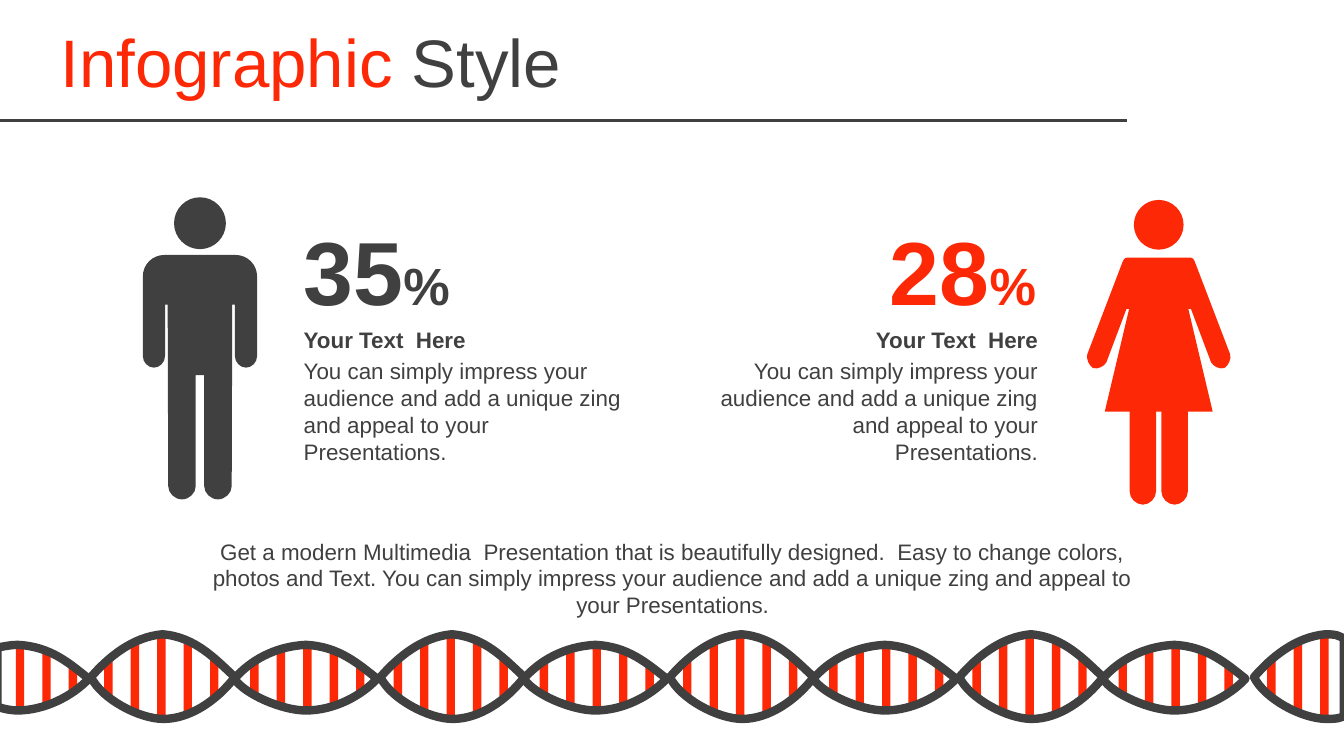
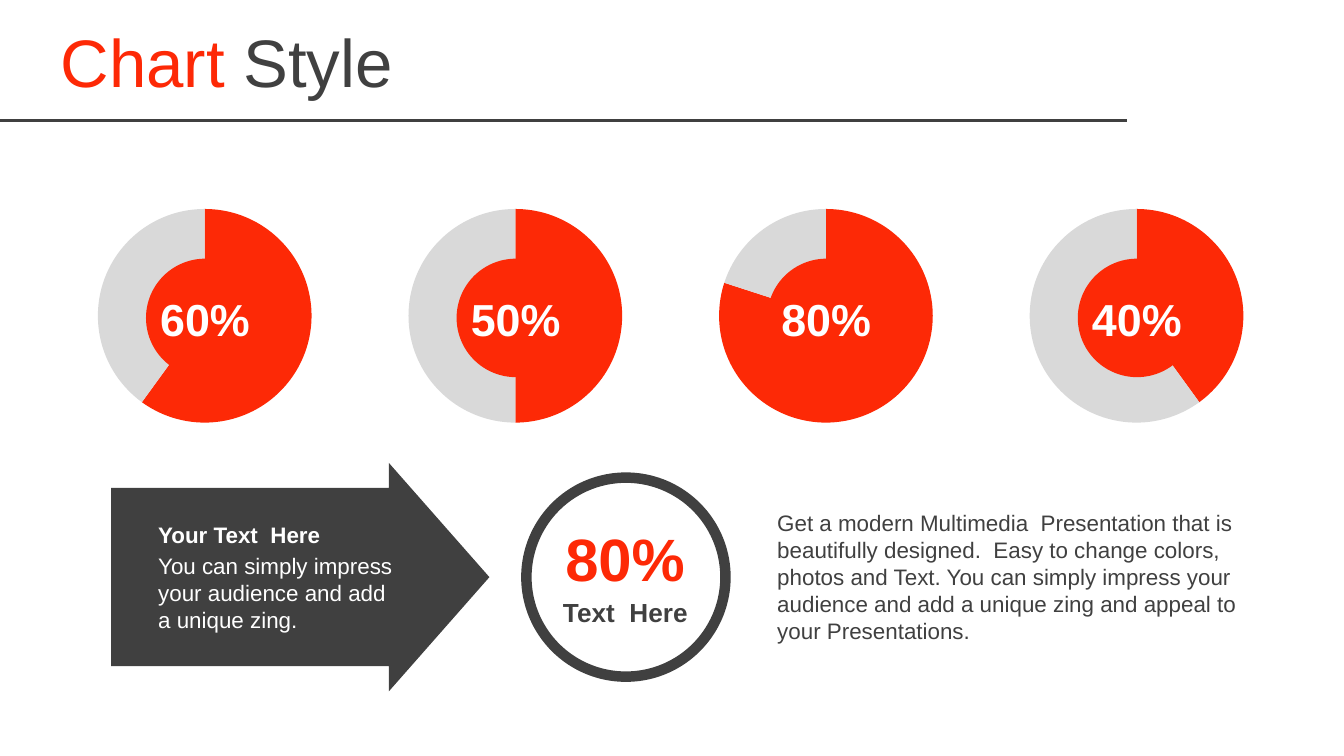
from dataclasses import dataclass
from typing import NamedTuple, Optional

from lxml import etree
from pptx import Presentation
from pptx.chart.data import CategoryChartData
from pptx.dml.color import RGBColor
from pptx.enum.chart import XL_CHART_TYPE as ChartType
from pptx.enum.shapes import MSO_CONNECTOR as Connector, MSO_SHAPE as Shape
from pptx.enum.text import MSO_ANCHOR as Anchor, MSO_AUTO_SIZE as AutoSize, PP_ALIGN as Align
from pptx.oxml import parse_xml
from pptx.oxml.ns import nsdecls, qn
from pptx.util import Cm, Pt

RED, DARK, GREY, WHITE = "FD2906", "404040", "D9D9D9", "FFFFFF"
FONT = "Arial"
HEADING = "Your Text  Here"
PITCH = "You can simply impress your audience and add a unique zing"
SUMMARY = ("Get a modern Multimedia  Presentation that is beautifully designed.  "
           "Easy to change colors, photos and Text. "
           f"{PITCH} and appeal to your Presentations.")

Point = tuple[float, float]
# Outline steps: two numbers are a straight line, six a cubic curve.
Steps = list[tuple]


class Box(NamedTuple):
    """Left, top, width and height in centimetres."""
    x: float
    y: float
    w: float
    h: float

    def emu(self) -> list[int]:
        return [Cm(v) for v in self]


class Run(NamedTuple):
    text: str
    size: Optional[float] = None
    color: Optional[str] = None


@dataclass
class Label:
    box: Box
    runs: list[Run]
    size: float = 12
    color: str = DARK
    bold: bool = False
    align: Align = Align.LEFT
    anchor: Anchor = Anchor.TOP
    wrap: bool = True


@dataclass
class Figure:
    """A person: the right half of the body, mirrored about the centre, and a head."""
    center: float
    top: float
    color: str
    head_radius: float
    half_body: Steps


@dataclass
class Lens:
    """One loop of the strand; each rung is (top, height) within the loop."""
    top: float
    first_rung: float
    rungs: list[Point]
    outline: Steps


MAN = Figure(3.78, 3.73, DARK, 0.49, [
    (0, 1.09), (0.67, 1.09), (0.9, 1.09, 1.08, 1.27, 1.08, 1.5), (1.08, 3),
    (1.08, 3.12, 0.98, 3.22, 0.87, 3.22), (0.76, 3.22, 0.66, 3.12, 0.66, 3),
    (0.66, 2.03), (0.61, 2.03), (0.6, 5.46),
    (0.6, 5.59, 0.48, 5.71, 0.34, 5.71), (0.2, 5.71, 0.08, 5.59, 0.08, 5.46),
    (0.08, 3.36), (0, 3.36)])
WOMAN = Figure(21.9, 3.78, RED, 0.47, [
    (0, 1.09), (0.46, 1.09), (0.64, 1.09, 0.64, 1.07, 0.69, 1.19), (1.35, 2.92),
    (1.37, 3.02, 1.32, 3.12, 1.24, 3.18), (1.14, 3.2, 1.04, 3.15, 0.99, 3.07),
    (0.61, 2.06), (0.56, 2.06), (1.02, 4), (0.55, 4), (0.55, 5.51),
    (0.55, 5.64, 0.43, 5.76, 0.3, 5.76), (0.17, 5.76, 0.05, 5.64, 0.05, 5.51),
    (0.05, 4), (0, 4)])

WIDE_RUNGS = [(0.48, 0.71), (0.13, 1.3), (0, 1.55), (0.13, 1.4), (0.46, 0.71)]
NARROW_RUNGS = [(0.33, 0.61), (0.1, 1.04), (0, 1.24), (0.1, 1.04), (0.38, 0.51)]
WIDE_START = [(0, 0.81), (0.33, 0.43, 0.79, 0.05, 1.35, 0)]
WIDE_END = (0.91, 1.6, 0.2, 1.22, 0, 0.81)
WIDE_LENS = Lens(11.99, 0.25, WIDE_RUNGS, [
    *WIDE_START, (1.98, 0.05, 2.36, 0.48, 2.72, 0.81),
    (2.39, 1.24, 1.88, 1.6, 1.37, 1.6), WIDE_END])
RIGHT_LENS = Lens(11.99, 0.25, WIDE_RUNGS[:3], [
    *WIDE_START, (1.57, 0, 1.6, 0.03, 1.7, 0.08), (1.7, 1.55),
    (1.63, 1.57, 1.63, 1.6, 1.37, 1.6), WIDE_END])
NARROW_LENS = Lens(12.19, 0.3, NARROW_RUNGS, [
    (0, 0.64), (0.3, 0.3, 0.76, 0.03, 1.35, 0), (1.98, 0.03, 2.34, 0.36, 2.7, 0.64),
    (2.39, 0.97, 1.88, 1.24, 1.35, 1.24), (0.91, 1.24, 0.2, 0.94, 0, 0.64)])
LEFT_LENS = Lens(12.19, 0.3, NARROW_RUNGS[2:], [
    (0.33, 0), (0.97, 0.03, 1.32, 0.36, 1.68, 0.64), (1.37, 0.97, 0.84, 1.24, 0.33, 1.24),
    (0.23, 1.24, 0.1, 1.22, -0.05, 1.17), (-0.05, 0.05), (0.08, 0.03, 0.2, 0, 0.33, 0)])
PERIOD = 5.47
RUNG_STEP, RUNG_W = 0.5, 0.16


def rgb(color: str) -> RGBColor:
    return RGBColor.from_string(color)


def paint(s, color: str) -> None:
    s.shadow.inherit = False
    s.fill.solid()
    s.fill.fore_color.rgb = rgb(color)
    s.line.fill.background()


def add_preset(shapes, kind: Shape, box: Box, color: str, adjustments=()) -> None:
    s = shapes.add_shape(kind, *box.emu())
    paint(s, color)
    for i, value in enumerate(adjustments):
        s.adjustments[i] = value


def write_runs(p, runs: list[Run]) -> None:
    for run in runs:
        r = p.add_run()
        r.text = run.text
        if run.size:
            r.font.size = Pt(run.size)
        if run.color:
            r.font.color.rgb = rgb(run.color)


def add_label(shapes, label: Label) -> None:
    tf = shapes.add_textbox(*label.box.emu()).text_frame
    tf.word_wrap = label.wrap
    tf.auto_size = AutoSize.SHAPE_TO_FIT_TEXT
    tf.vertical_anchor = label.anchor
    p = tf.paragraphs[0]
    p.alignment = label.align
    write_runs(p, label.runs)
    p.font.name, p.font.size, p.font.bold = FONT, Pt(label.size), label.bold
    p.font.color.rgb = rgb(label.color)


def add_captioned_text(slide, box: Box, text: str, color: str = DARK,
                       align: Align = Align.LEFT) -> None:
    """Group a bold heading with the text just below it."""
    shapes = slide.shapes.add_group_shape().shapes
    add_label(shapes, Label(box, [Run(text)], color=color, align=align))
    heading = Box(box.x, box.y - 0.59, box.w, 0.76)
    add_label(shapes, Label(heading, [Run(HEADING)], color=color, bold=True, align=align))


def step_points(step: tuple) -> list[Point]:
    return list(zip(step[::2], step[1::2]))


def mirror(half: Steps) -> Steps:
    """Continue a half outline with its reflection, back to the start."""
    points = [(-x, y) for step in half for x, y in step_points(step)][::-1]
    steps, used = list(half), 1
    for step in reversed(half[1:]):
        count = len(step) // 2
        steps.append(sum(points[used:used + count], ()))
        used += count
    return steps


def circle(radius: float) -> Steps:
    """A circle that touches the top of its figure, as four curves."""
    r, k = radius, 0.55 * radius
    quarter = [(0, 0), (k, 0, r, r - k, r, r), (r, r + k, k, 2 * r, 0, 2 * r)]
    return mirror(quarter)


def add_outline(shapes, contours: list[Steps], left: float, top: float):
    """Build a freeform, then join each curve's three points into one curve."""
    builder = None
    for steps in contours:
        points = [(Cm(left + x), Cm(top + y)) for step in steps for x, y in step_points(step)]
        if builder is None:
            builder = shapes.build_freeform(*points[0], scale=1.0)
        else:
            builder.move_to(*points[0])
        builder.add_line_segments(points[1:], close=True)
    s = builder.convert_to_shape()
    lines = s._element.spPr.iter(qn("a:lnTo"))
    line_list = iter(list(lines))
    for step in (step for steps in contours for step in steps[1:]):
        segment = next(line_list)
        if len(step) == 6:
            segment.tag = qn("a:cubicBezTo")
            for _ in range(2):
                extra = next(line_list)
                segment.append(extra[0])
                extra.getparent().remove(extra)
    return s


def add_figure(slide, figure: Figure) -> None:
    contours = [mirror(figure.half_body), circle(figure.head_radius)]
    paint(add_outline(slide.shapes, contours, figure.center, figure.top), figure.color)


def add_lens(shapes, lens: Lens, left: float) -> None:
    for i, (top, height) in enumerate(lens.rungs):
        x = left + lens.first_rung + i * RUNG_STEP
        add_preset(shapes, Shape.RECTANGLE, Box(x, lens.top + top, RUNG_W, height), RED)
    s = add_outline(shapes, [lens.outline], left, lens.top)
    s.shadow.inherit = False
    s.fill.background()
    s.line.color.rgb = rgb(DARK)
    s.line.width = Pt(4.5)


def add_strand(slide) -> None:
    shapes = slide.shapes.add_group_shape().shapes
    for i in range(4):
        add_lens(shapes, WIDE_LENS, 1.72 + i * PERIOD)
        add_lens(shapes, NARROW_LENS, 4.43 + i * PERIOD)
    add_lens(shapes, LEFT_LENS, 0)
    add_lens(shapes, RIGHT_LENS, 23.7)


def add_doughnut(slide, box: Box, percent: int) -> None:
    data = CategoryChartData()
    data.categories = ["1", "2"]
    data.add_series("Series 1", (percent, 100 - percent))
    chart = slide.shapes.add_chart(ChartType.DOUGHNUT, *box.emu(), data).chart
    chart.has_legend = chart.has_title = False
    chart.font.name, chart.font.size = FONT, Pt(18)
    chart.font.color.rgb = rgb("000000")
    plot = chart.plots[0]
    plot.vary_by_categories = True
    for i, color in enumerate((RED, GREY)):
        fmt = plot.series[0].points[i].format
        fmt.fill.solid()
        fmt.fill.fore_color.rgb = rgb(color)
        fmt.line.fill.background()
    area = chart._chartSpace.find(".//" + qn("c:plotArea"))
    area.find(".//" + qn("c:holeSize")).set("val", "75")
    for old in area.findall(qn("c:layout")):
        area.remove(old)
    layout = parse_xml(f"<c:layout {nsdecls('c')}><c:manualLayout/></c:layout>")
    settings = {"layoutTarget": "inner", "xMode": "edge", "yMode": "edge",
                "x": "0", "y": "0", "w": "1", "h": "0.965"}
    for name, value in settings.items():
        etree.SubElement(layout[0], qn(f"c:{name}")).set("val", value)
    area.insert(0, layout)


def add_share(slide, left: float, percent: int) -> None:
    """Draw a doughnut with its percentage on a disc in the middle."""
    add_doughnut(slide, Box(left, 3.95, 4.04, 4.19), percent)
    add_preset(slide.shapes, Shape.OVAL, Box(left + 0.91, 4.89, 2.24, 2.24), RED)
    add_label(slide.shapes, Label(Box(left + 0.88, 5.38, 2.29, 1.27),
                                  [Run(f"{percent}%")], 24, WHITE, True,
                                  Align.CENTER, Anchor.MIDDLE))


def new_slide(prs, accent: str):
    """Add a slide with the two-colour title and the rule under it."""
    slide = prs.slides.add_slide(prs.slide_layouts[5])
    rule = slide.shapes.add_connector(Connector.STRAIGHT, Cm(-0.02), Cm(2.28),
                                      Cm(21.3), Cm(2.28))
    rule.line.color.rgb = rgb(DARK)
    rule.line.width = Pt(1.5)
    etree.SubElement(rule._element.spPr, qn("a:effectLst"))
    title = slide.shapes.title
    title.left, title.top, title.width, title.height = Box(0.89, 0.35, 20.4, 1.59).emu()
    tf = title.text_frame
    tf.auto_size = AutoSize.NONE
    tf.vertical_anchor = Anchor.MIDDLE
    p = tf.paragraphs[0]
    p.alignment = Align.LEFT
    write_runs(p, [Run(f"{accent} ", color=RED), Run("Style", color=DARK)])
    p.font.name, p.font.size = FONT, Pt(36)
    return slide


def build_infographic(prs) -> None:
    slide = new_slide(prs, "Infographic")
    for figure, value, value_x, text_x, align in (
            (MAN, "35", 5.49, 5.49, Align.LEFT),
            (WOMAN, "28", 16.57, 13.32, Align.RIGHT)):
        add_figure(slide, figure)
        add_label(slide.shapes, Label(Box(value_x, 3.96, 3.3, 2.31),
                                      [Run(value), Run("%", 28)], 48, figure.color,
                                      True, wrap=False))
        add_captioned_text(slide, Box(text_x, 6.63, 6.55, 2.31),
                           f"{PITCH} and appeal to your Presentations.", align=align)
    add_label(slide.shapes, Label(Box(3.43, 10.04, 18.57, 1.8), [Run(SUMMARY)],
                                  align=Align.CENTER))
    add_strand(slide)


def build_charts(prs) -> None:
    slide = new_slide(prs, "Chart")
    shapes = slide.shapes
    add_preset(shapes, Shape.RIGHT_ARROW, Box(2.1, 8.75, 7.15, 4.32), DARK, (0.78, 0.44))
    add_captioned_text(slide, Box(2.74, 10.31, 4.98, 1.8), f"{PITCH}.", WHITE)
    add_preset(shapes, Shape.DONUT, Box(9.85, 8.93, 3.96, 3.96), DARK, (0.05,))
    add_label(shapes, Label(Box(10.38, 9.73, 2.87, 1.63), [Run("80%")], 32, RED, True,
                            Align.CENTER, Anchor.MIDDLE))
    add_label(shapes, Label(Box(10.32, 11.15, 3, 0.86), [Run("Text  Here")], 14,
                            bold=True, align=Align.CENTER))
    add_label(shapes, Label(Box(14.44, 9.5, 9.42, 2.82), [Run(SUMMARY)]))
    for i, percent in enumerate((60, 50, 80, 40)):
        add_share(slide, 1.85 + i * 5.87, percent)


def main() -> None:
    prs = Presentation()
    prs.slide_width, prs.slide_height = Cm(25.4), Cm(14.29)
    build_infographic(prs)
    build_charts(prs)
    prs.save("out.pptx")


if __name__ == "__main__":
    main()
